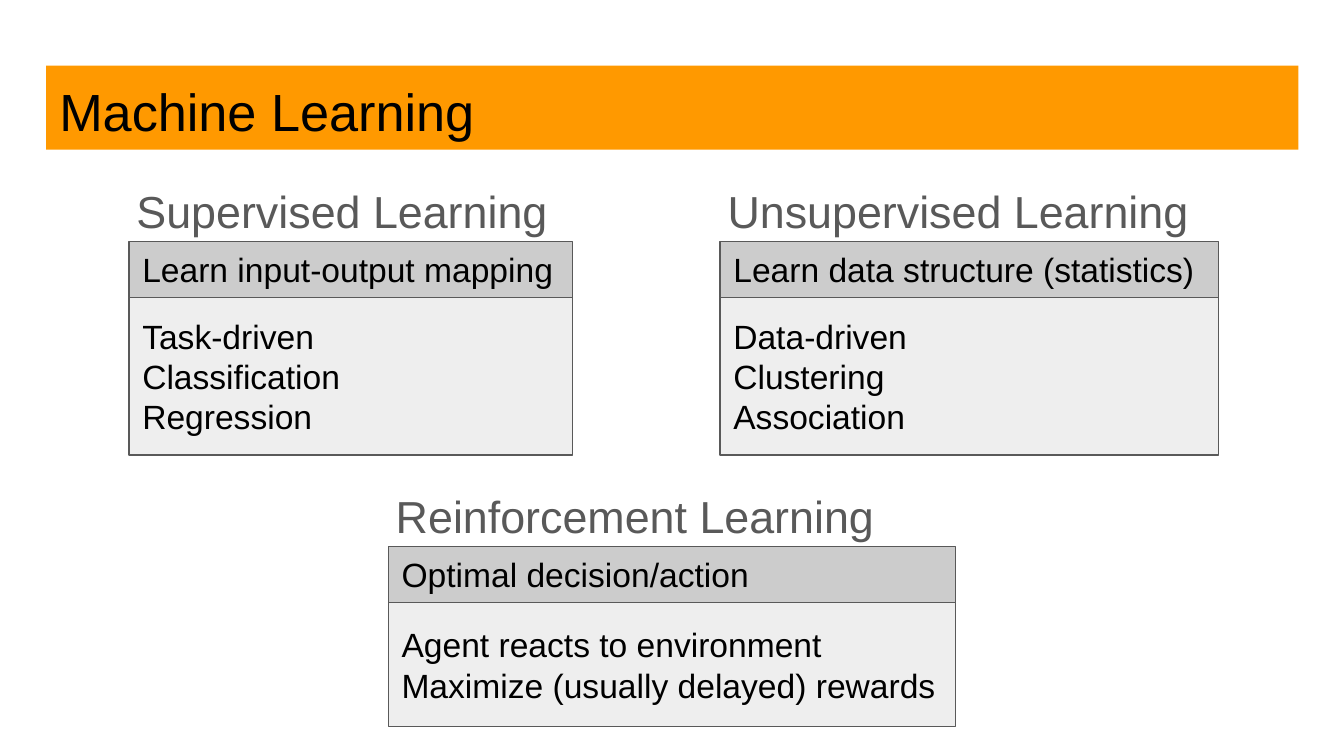
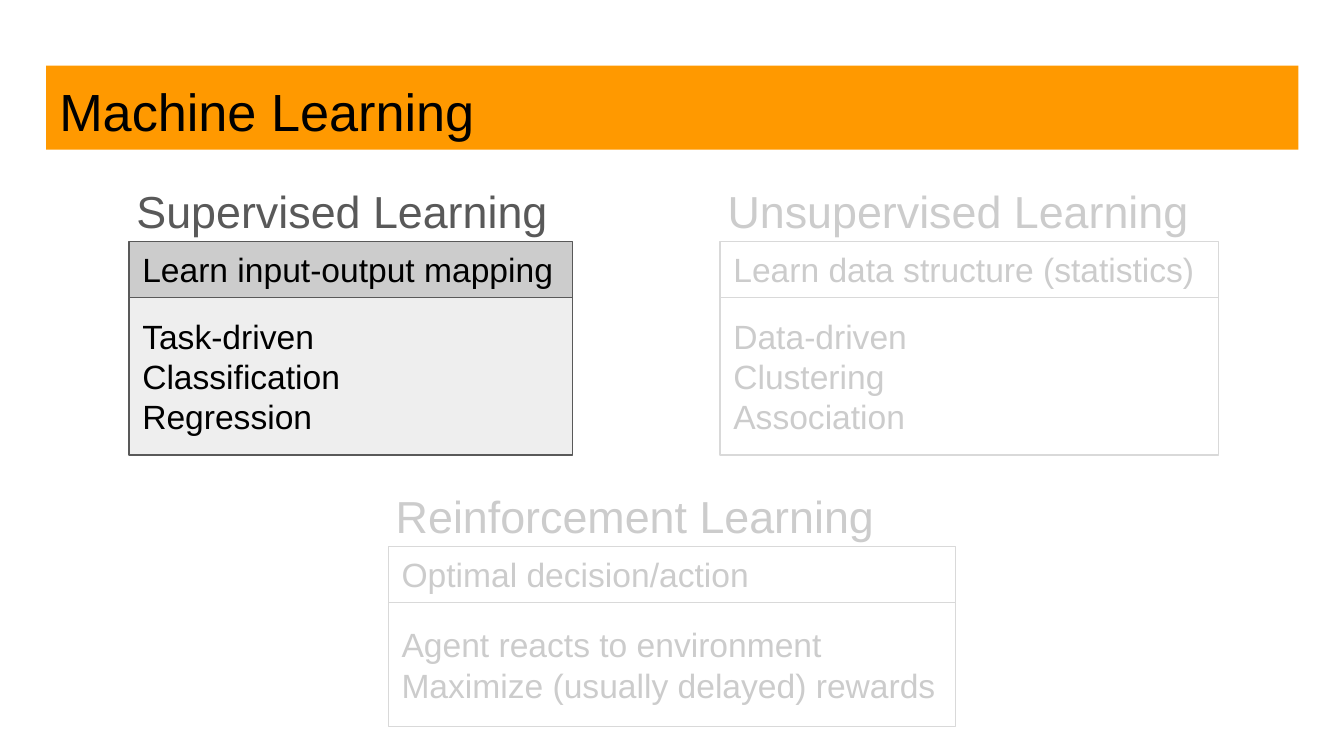
from dataclasses import dataclass

from pptx import Presentation
from pptx import util as u
from pptx.dml.color import RGBColor
from pptx.enum import shapes, text

TITLE = "Machine Learning"
# Left, top and width are in cm; the top is that of the heading.
CARDS = [
    {"heading": "Supervised Learning", "goal": "Learn input-output mapping",
     "traits": ["Task-driven", "Classification", "Regression"],
     "left": 2.44, "top": 3.07, "width": 8.38},
    {"heading": "Unsupervised Learning", "goal": "Learn data structure (statistics)",
     "traits": ["Data-driven", "Clustering", "Association"],
     "left": 13.61, "top": 3.07, "width": 9.42},
    {"heading": "Reinforcement Learning", "goal": "Optimal decision/action",
     "traits": ["Agent reacts to environment", "Maximize (usually delayed) rewards"],
     "left": 7.34, "top": 8.84, "width": 10.72},
]
# Headings of the cards shown in full colour on each slide
ACTIVE_CARDS = [
    [card["heading"] for card in CARDS],
    ["Supervised Learning"],
]


@dataclass(frozen=True)
class Palette:
    heading: str
    ink: str
    outline: str
    goal_fill: str | None = None
    traits_fill: str | None = None


@dataclass(frozen=True)
class Theme:
    font: str = "Arial"
    band: str = "FF9900"
    title_ink: str = "000000"
    title_size: int = 28
    heading_size: int = 24
    text_size: int = 18
    line_width: float = 0.75
    active: Palette = Palette("595959", "000000", "595959", "CCCCCC", "EEEEEE")
    muted: Palette = Palette("CCCCCC", "CCCCCC", "D9D9D9")


THEME = Theme()
SLIDE_SIZE = (25.4, 14.29)
BAND = (0.87, 1.24, 23.67, 1.59)
INSET = 0.25
HEADING_HEIGHT = 1.59
HEADING_TO_GOAL = 1.49
HEADING_OUTSET = 0.11
GOAL_HEIGHT = 1.06
TRAITS_PADDING = 1.06
TRAIT_HEIGHT = 0.64

FRAME_FORMAT = {
    "word_wrap": True,
    "auto_size": text.MSO_AUTO_SIZE.NONE,
    **{f"margin_{side}": u.Cm(INSET) for side in ("left", "top", "right", "bottom")},
}
HEADING_FORMAT = {"line_spacing": 1.15, "space_after": u.Pt(16)}


def apply(target, values):
    for key, value in values.items():
        setattr(target, key, value)


def cm(*lengths):
    return [u.Cm(length) for length in lengths]


def paint(fill, colour):
    """Fill with a colour, or leave unfilled when it is None."""
    if colour is None:
        fill.background()
    else:
        fill.solid()
        fill.fore_color.rgb = RGBColor.from_string(colour)


def write(shape, lines, size, colour, anchor=text.MSO_ANCHOR.TOP, paragraph_format=None):
    frame = shape.text_frame
    frame.text = "\n".join(lines)
    apply(frame, {**FRAME_FORMAT, "vertical_anchor": anchor})
    for paragraph in frame.paragraphs:
        apply(paragraph, {"alignment": text.PP_ALIGN.LEFT, **(paragraph_format or {})})
        for run in paragraph.runs:
            apply(run.font, {"name": THEME.font, "size": u.Pt(size)})
            run.font.color.rgb = RGBColor.from_string(colour)


def add_title(slide):
    title = slide.shapes.title
    apply(title, dict(zip(("left", "top", "width", "height"), cm(*BAND))))
    paint(title.fill, THEME.band)
    write(title, [TITLE], THEME.title_size, THEME.title_ink)


def add_box(group, place, lines, fill, palette):
    box = group.shapes.add_shape(shapes.MSO_SHAPE.RECTANGLE, *cm(*place))
    box.shadow.inherit = False
    paint(box.fill, fill)
    paint(box.line.fill, palette.outline)
    box.line.width = u.Pt(THEME.line_width)
    write(box, lines, THEME.text_size, palette.ink, text.MSO_ANCHOR.MIDDLE)


def add_card(slide, card, palette):
    left, top, width = card["left"], card["top"], card["width"]
    goal_top = top + HEADING_TO_GOAL
    traits_height = TRAITS_PADDING + TRAIT_HEIGHT * len(card["traits"])

    group = slide.shapes.add_group_shape()
    heading = group.shapes.add_textbox(
        *cm(left - HEADING_OUTSET, top, width + 2 * HEADING_OUTSET, HEADING_HEIGHT))
    write(heading, [card["heading"]], THEME.heading_size, palette.heading,
          paragraph_format=HEADING_FORMAT)
    add_box(group, (left, goal_top + GOAL_HEIGHT, width, traits_height),
            card["traits"], palette.traits_fill, palette)
    add_box(group, (left, goal_top, width, GOAL_HEIGHT),
            [card["goal"]], palette.goal_fill, palette)


def main():
    deck = Presentation()
    deck.slide_width, deck.slide_height = cm(*SLIDE_SIZE)
    title_only = deck.slide_layouts.get_by_name("Title Only")
    for active in ACTIVE_CARDS:
        slide = deck.slides.add_slide(title_only)
        add_title(slide)
        for card in CARDS:
            add_card(slide, card, THEME.active if card["heading"] in active else THEME.muted)
    deck.save("out.pptx")


if __name__ == "__main__":
    main()
